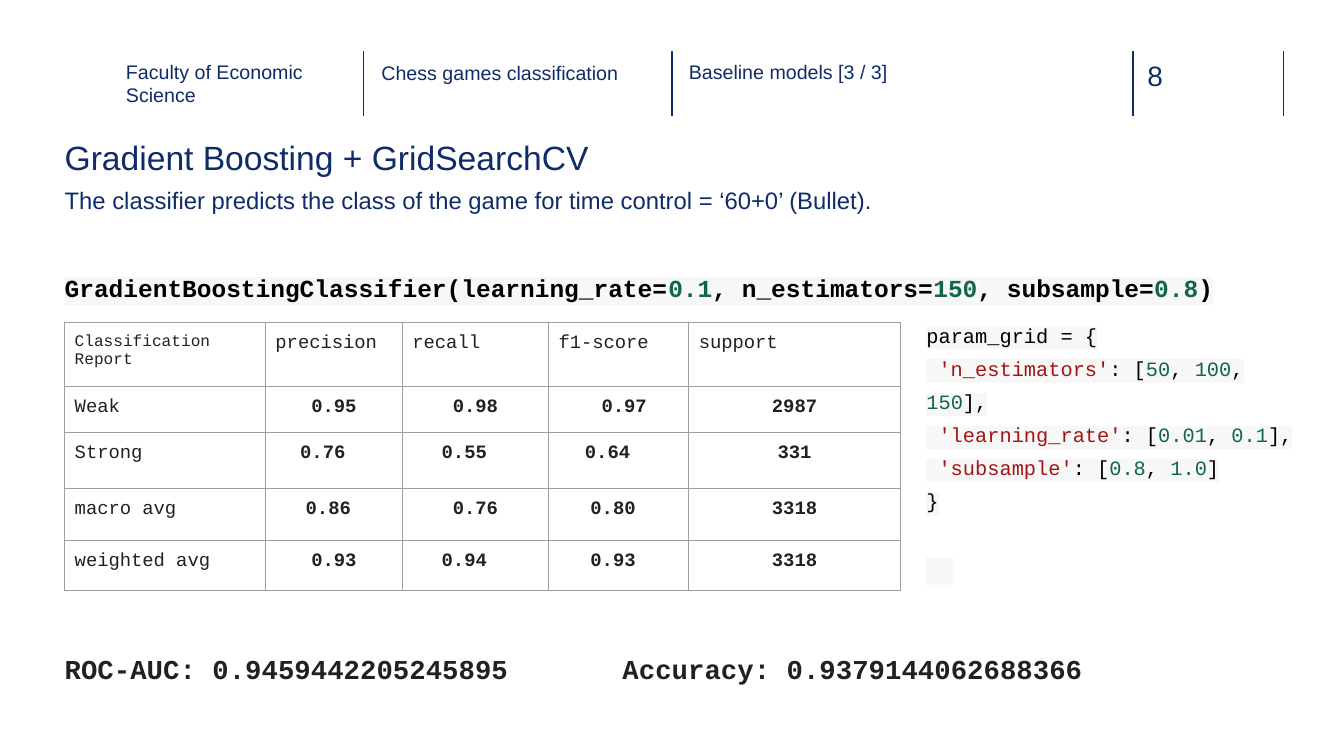
from lxml import etree
from pptx import Presentation
from pptx import util as u
from pptx.dml.color import RGBColor
from pptx.enum import shapes, text
from pptx.oxml.ns import qn

COLORS = {
    "navy": "0F2C68", "rule": "102D69", "ink": "212121", "black": "000000",
    "number": "116644", "string": "A31515", "shade": "F7F7F7", "border": "9E9E9E",
}
SANS, MONO = "Arial", "Courier New"
COLUMNS, ROWS = 160, 90
LEFT = 7.7  # left margin, in grid columns


def rgb(name):
    return RGBColor.from_string(COLORS[name])


class Deck:
    """Slide builder whose positions are columns and rows of a 160 x 90 grid."""

    def __init__(self, prs, layout):
        self.prs = prs
        self.slide = prs.slides.add_slide(prs.slide_layouts[layout])
        self.shapes = self.slide.shapes

    def x(self, columns):
        return round(self.prs.slide_width * columns / COLUMNS)

    def y(self, rows):
        return round(self.prs.slide_height * rows / ROWS)

    def area(self, x, y, w, h):
        return self.x(x), self.y(y), self.x(w), self.y(h)

    def frame(self, sp, inset=0):
        tf = sp.text_frame
        tf.word_wrap = True
        tf.auto_size = text.MSO_AUTO_SIZE.NONE
        tf.vertical_anchor = text.MSO_ANCHOR.TOP
        tf.margin_left = tf.margin_right = tf.margin_top = tf.margin_bottom = u.Inches(inset)
        return tf

    def style(self, p, size, color, font=SANS, bold=False, spacing=1.0):
        p.font.size, p.font.name, p.font.bold = u.Pt(size), font, bold
        p.font.color.rgb = rgb(color)
        p.alignment = text.PP_ALIGN.LEFT
        p.line_spacing, p.space_before = spacing, u.Pt(0)

    def placeholder(self, index, area, words, size):
        sp = self.shapes.placeholders[index]
        sp.left, sp.top, sp.width, sp.height = self.area(*area)
        p = self.frame(sp).paragraphs[0]
        p.text = words
        self.style(p, size, "navy")
        pPr = p._p.get_or_add_pPr()
        pPr.set("marL", "0")
        pPr.set("indent", "0")
        pPr.insert_element_before(etree.Element(qn("a:buNone")), "a:tabLst", "a:defRPr", "a:extLst")

    def text(self, area, words, size, color, font=SANS, bold=False):
        p = self.frame(self.shapes.add_textbox(*self.area(*area))).paragraphs[0]
        p.text = words
        self.style(p, size, color, font, bold)

    def code(self, area, lines, size, bold=False, spacing=1.0, inset=0):
        """Write lines of (words, colour) pieces on a shaded ground."""
        tf = self.frame(self.shapes.add_textbox(*self.area(*area)), inset)
        for i, line in enumerate(lines):
            p = tf.add_paragraph() if i else tf.paragraphs[0]
            self.style(p, size, "black", MONO, bold, spacing)
            for words, color in line:
                r = p.add_run()
                r.text = words
                r.font.color.rgb = rgb(color)
                shade = etree.SubElement(r._r.get_or_add_rPr(), qn("a:highlight"))
                etree.SubElement(shade, qn("a:srgbClr"), val=COLORS["shade"])

    def rule(self, x, top, bottom):
        line = self.shapes.add_connector(
            shapes.MSO_CONNECTOR.STRAIGHT, self.x(x), self.y(top), self.x(x), self.y(bottom))
        line.line.color.rgb = rgb("rule")
        line.line.width = u.Pt(1)
        etree.SubElement(line._element.spPr, qn("a:effectLst"))

    def block(self, area, color):
        sp = self.shapes.add_shape(shapes.MSO_SHAPE.RECTANGLE, *self.area(*area))
        sp.shadow.inherit = False
        sp.fill.solid()
        sp.fill.fore_color.rgb = rgb(color)
        sp.line.fill.background()

    def borders(self, cell):
        tcPr = cell._tc.get_or_add_tcPr()
        for i, side in enumerate(("lnL", "lnR", "lnT", "lnB")):
            ln = etree.Element(qn(f"a:{side}"), w=str(u.Pt(0.75)))
            fill = etree.SubElement(ln, qn("a:solidFill"))
            etree.SubElement(fill, qn("a:srgbClr"), val=COLORS["border"])
            tcPr.insert(i, ln)

    def table(self, x, y, widths, heights, rows, nudges):
        """Draw a table; nudges maps (row, column) to a shift left in half characters."""
        area = self.area(x, y, sum(widths), sum(heights))
        table = self.shapes.add_table(len(rows), len(widths), *area).table
        table.first_row = table.horz_banding = False
        for column, width in zip(table.columns, widths):
            column.width = self.x(width)
        for i, (height, values) in enumerate(zip(heights, rows)):
            table.rows[i].height = self.y(height)
            for j, value in enumerate(values):
                cell = table.cell(i, j)
                nudge = 0.11 * nudges.get((i, j), 0)
                cell.margin_left = u.Inches(0.1 + max(-nudge, 0))
                cell.margin_right = u.Inches(0.1 + max(nudge, 0))
                cell.margin_top = cell.margin_bottom = u.Inches(0.1)
                cell.fill.background()
                self.borders(cell)
                p = cell.text_frame.paragraphs[0]
                p.text = value
                is_value = i > 0 and j > 0
                self.style(p, 13.5 if i or j else 11.5, "ink", MONO, is_value)
                if is_value:
                    p.alignment = text.PP_ALIGN.CENTER


def grid_line(name, values):
    """Return the coloured pieces of one entry of the parameter grid."""
    pieces = [(" ", "black"), (f"'{name}'", "string"), (": [", "black")]
    for i, value in enumerate(values):
        if i:
            pieces.append((", ", "black"))
        pieces.append((value, "number"))
    return pieces


def main():
    prs = Presentation()
    prs.slide_width, prs.slide_height = u.Inches(13.33), u.Inches(7.5)
    deck = Deck(prs, 4)

    for x in (43.3, 80, 134.9, 152.8):
        deck.rule(x, 6.1, 13.8)
    deck.placeholder(1, (15, 7.1, 25, 5.4), "Faculty of Economic Science", 14)
    deck.placeholder(2, (45.4, 7.2, 31.1, 5.4), "Chess games classification", 14)
    deck.placeholder(3, (82, 7.1, 27.1, 5.4), "Baseline models [3 / 3]", 14)
    deck.text((136.6, 7, 8.8, 4.1), "8", 20, "rule")

    deck.placeholder(0, (LEFT, 16.3, 145.1, 5.4), "Gradient Boosting + GridSearchCV", 24)
    deck.placeholder(4, (LEFT, 22.1, 148.4, 3.6),
                     "The classifier predicts the class of the game for time control = ‘60+0’ (Bullet).", 17)

    classifier = [
        ("GradientBoostingClassifier(learning_rate=", "black"), ("0.1", "number"),
        (", n_estimators=", "black"), ("150", "number"),
        (", subsample=", "black"), ("0.8", "number"), (")", "black"),
    ]
    deck.code((LEFT, 32.5, 148.4, 3.6), [classifier], 17.5, bold=True)

    report = [
        ("Classification Report", "precision", "recall", "f1-score", "support"),
        ("Weak", "0.95", "0.98", "0.97", "2987"),
        ("Strong", "0.76", "0.55", "0.64", "331"),
        ("macro avg", "0.86", "0.76", "0.80", "3318"),
        ("weighted avg", "0.93", "0.94", "0.93", "3318"),
    ]
    nudges = {(1, 3): -1, (2, 1): 2, (2, 2): 2, (2, 3): 2,
              (3, 1): 1, (3, 3): 1, (4, 2): 2, (4, 3): 1}
    deck.table(LEFT, 38.4, (23.9, 16.3, 17.4, 16.7, 25.2), (7.6, 5.5, 6.7, 6.2, 5.9), report, nudges)

    param_grid = [
        [("param_grid = {", "black")],
        grid_line("n_estimators", ("50", "100", "150")) + [("],", "black")],
        grid_line("learning_rate", ("0.01", "0.1")) + [("],", "black")],
        grid_line("subsample", ("0.8", "1.0")) + [("]", "black")],
        [("}", "black")],
    ]
    deck.code((109.1, 36.2, 46.1, 43.3), param_grid, 14.5, spacing=1.36, inset=0.1)
    deck.block((110.2, 66.4, 3.3, 3.2), "shade")

    for x, score in ((LEFT, "ROC-AUC: 0.9459442205245895"), (74.1, "Accuracy: 0.9379144062688366")):
        deck.text((x, 77.7, 60, 3.8), score, 19.5, "ink", MONO, bold=True)
    prs.save("out.pptx")


if __name__ == "__main__":
    main()
